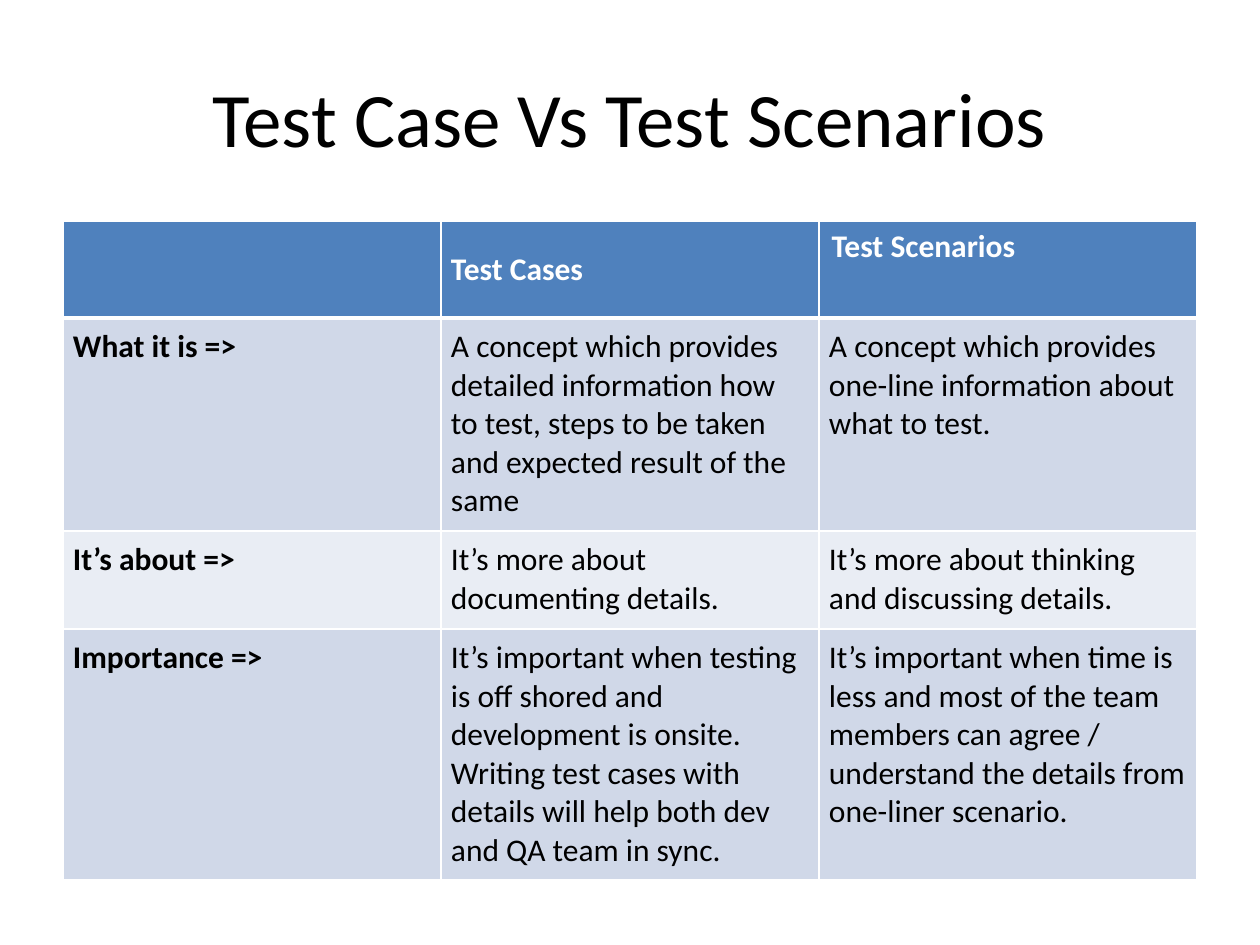
from dataclasses import dataclass

from lxml import etree
from pptx import Presentation
from pptx.dml.color import RGBColor
from pptx.enum import text
from pptx.oxml import ns
from pptx.util import Emu, Pt

PX_PER_INCH = 126


@dataclass(frozen=True)
class Theme:
    font: str = "Calibri"
    title_size: int = 44
    table_size: int = 18
    ink: str = "000000"
    paper: str = "FFFFFF"
    header: str = "4F81BD"
    bands: tuple = ("D0D8E8", "E9EDF4")


THEME = Theme()
TITLE_BOX = (63, 38, 1134, 158)
TABLE_BOX = (63, 221, 1134, 659)
ROW_HEIGHTS = (97, 213, 98, 251)
ROWS = (
    ("", "Test Cases", "Test Scenarios"),
    (
        "What it is =>",
        "A concept which provides detailed information how to test, "
        "steps to be taken and expected result of the same",
        "A concept which provides one-line information about what to test.",
    ),
    (
        "It’s about =>",
        "It’s more about documenting details.",
        "It’s more about thinking and discussing details.",
    ),
    (
        "Importance =>",
        "It’s important when testing is off shored and development is onsite. "
        "Writing test cases with details will help both dev and QA team in sync.",
        "It’s important when time is less and most of the team members can agree / "
        "understand the details from one-liner scenario.",
    ),
)


def px(length):
    return Emu(round(length * 914400 / PX_PER_INCH))


def apply(target, values):
    for name, value in values.items():
        setattr(target, name, value)


def format_font(font, size, color, bold=False):
    apply(font, {"name": THEME.font, "size": Pt(size), "bold": bold})
    font.color.rgb = RGBColor.from_string(color)


def add_border(cell, side, width):
    properties = cell._tc.get_or_add_tcPr()
    line = etree.SubElement(properties, ns.qn(f"a:{side}"), w=str(Pt(width)))
    fill = etree.SubElement(line, ns.qn("a:solidFill"))
    etree.SubElement(fill, ns.qn("a:srgbClr"), val=THEME.paper)


def add_title(slide, box, wording):
    title = slide.shapes.title
    apply(title, dict(zip(("left", "top", "width", "height"), map(px, box))))
    title.text_frame.text = wording
    title.text_frame.vertical_anchor = text.MSO_ANCHOR.MIDDLE
    paragraph = title.text_frame.paragraphs[0]
    paragraph.alignment = text.PP_ALIGN.CENTER
    format_font(paragraph.runs[0].font, THEME.title_size, THEME.ink)


def fill_cell(cell, wording, row, column):
    is_header = row == 0
    cell.text = wording
    if (row, column) != (0, 2):
        sides = ("left", "top", "right", "bottom")
        apply(cell, {f"margin_{side}": px(10) for side in sides})
    centred = (row, column) == (0, 1)
    cell.vertical_anchor = text.MSO_ANCHOR.MIDDLE if centred else text.MSO_ANCHOR.TOP
    color = THEME.paper if is_header else THEME.ink
    paragraph = cell.text_frame.paragraphs[0]
    format_font(paragraph.font, THEME.table_size, color, is_header or column == 0)
    for run in paragraph.runs:
        format_font(run.font, THEME.table_size, color, is_header or column == 0)

    for side in ("lnL", "lnR", "lnT", "lnB"):
        heavy = (row, side) in ((0, "lnB"), (1, "lnT"))
        add_border(cell, side, 3 if heavy else 1)
    fill = THEME.header if is_header else THEME.bands[(row - 1) % 2]
    cell.fill.solid()
    cell.fill.fore_color.rgb = RGBColor.from_string(fill)


def add_comparison(slide, box, rows):
    frame = slide.shapes.add_table(len(rows), len(rows[0]), *map(px, box))
    table = frame.table
    for column in table.columns:
        column.width = px(box[2] // len(rows[0]))
    for row, wordings in enumerate(rows):
        table.rows[row].height = px(ROW_HEIGHTS[row])
        for column, wording in enumerate(wordings):
            fill_cell(table.cell(row, column), wording, row, column)


def main():
    presentation = Presentation()
    apply(presentation, {"slide_width": px(1260), "slide_height": px(945)})
    slide = presentation.slides.add_slide(presentation.slide_layouts[5])
    add_title(slide, TITLE_BOX, "Test Case Vs Test Scenarios")
    add_comparison(slide, TABLE_BOX, ROWS)
    presentation.save("out.pptx")


if __name__ == "__main__":
    main()
